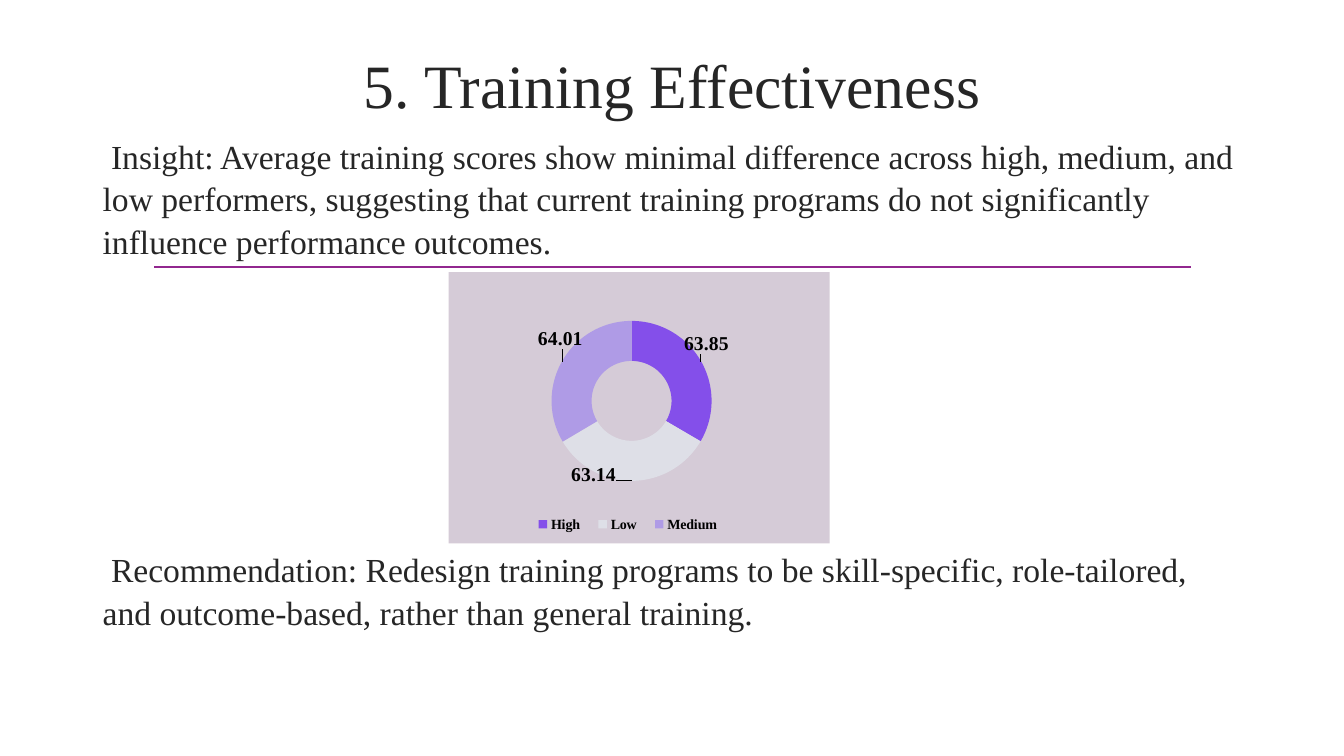
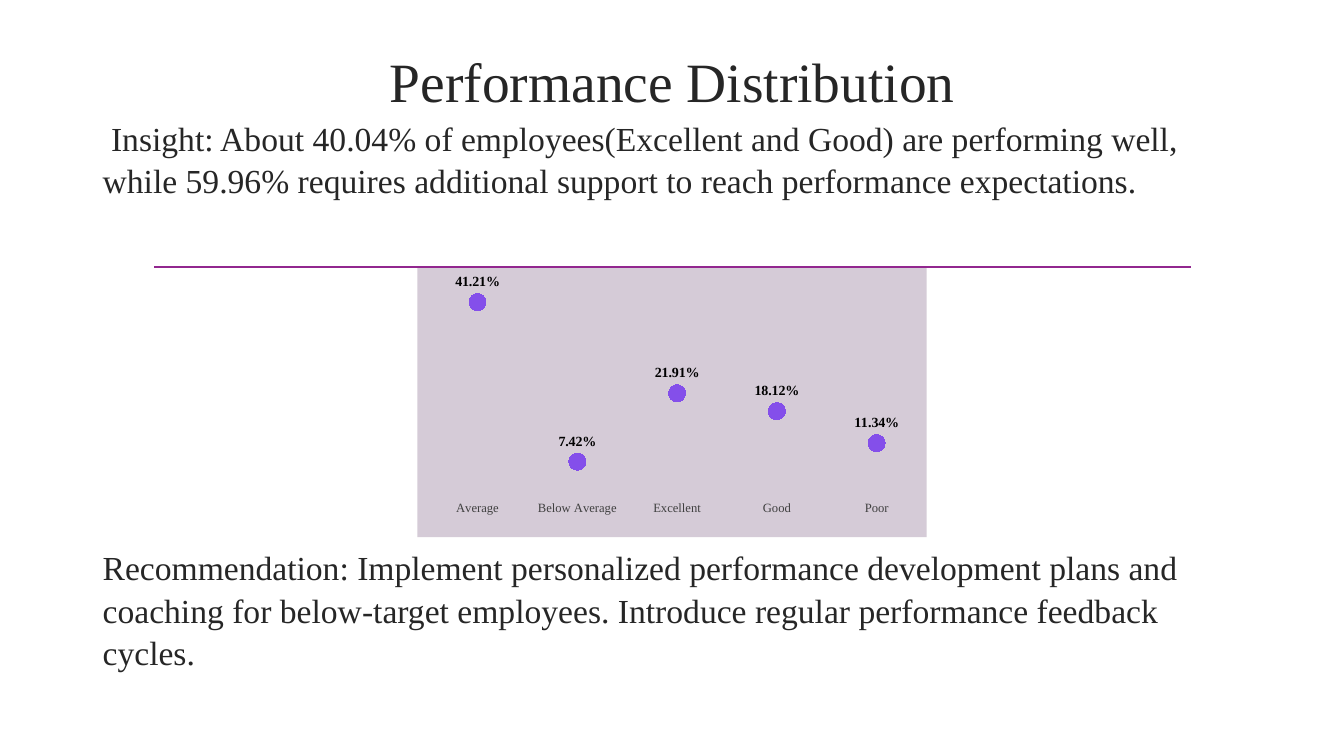
from dataclasses import dataclass

from lxml import etree
from pptx import Presentation
from pptx.chart.data import CategoryChartData
from pptx.dml.color import RGBColor
from pptx.enum.chart import (XL_CHART_TYPE, XL_LABEL_POSITION,
                             XL_LEGEND_POSITION, XL_MARKER_STYLE, XL_TICK_MARK)
from pptx.enum.shapes import MSO_CONNECTOR
from pptx.enum.text import MSO_ANCHOR, PP_ALIGN
from pptx.oxml import parse_xml
from pptx.oxml.ns import qn
from pptx.util import Pt

PX = 9144  # 100 px to the inch
RING, DOTS = XL_CHART_TYPE.DOUGHNUT, XL_CHART_TYPE.LINE_MARKERS
ABOVE, BOTTOM = XL_LABEL_POSITION.ABOVE, XL_LEGEND_POSITION.BOTTOM
CIRCLE, NO_TICK = XL_MARKER_STYLE.CIRCLE, XL_TICK_MARK.NONE
STRAIGHT = MSO_CONNECTOR.STRAIGHT
MIDDLE, TOP = MSO_ANCHOR.MIDDLE, MSO_ANCHOR.TOP
CENTER, LEFT = PP_ALIGN.CENTER, PP_ALIGN.LEFT
NS = ('xmlns:c="http://schemas.openxmlformats.org/drawingml/2006/chart" '
      'xmlns:a="http://schemas.openxmlformats.org/drawingml/2006/main"')


@dataclass(frozen=True)
class Theme:
    face: str = "Times New Roman"
    ink: str = "262626"
    rule: str = "92278F"
    panel: str = "D5CBD7"
    black: str = "000000"
    axis: str = "404040"
    high: str = "844FEA"
    low: str = "DEDFE7"
    mid: str = "AF9BE6"
    body: int = 24
    value: int = 14
    small: int = 10
    tick: int = 9


THEME = Theme()


def rgb(code):
    return RGBColor.from_string(code)


def put(obj, **vals):
    for name, val in vals.items():
        setattr(obj, name, val)


def style(font, size, color, bold=False):
    put(font, name=THEME.face, size=Pt(size), bold=bold)
    font.color.rgb = rgb(color)


def paint(fill, color):
    fill.solid()
    fill.fore_color.rgb = rgb(color)


def scale(box):
    return [n * PX for n in box]


def write(slide, box, text, size, align=LEFT, anchor=TOP, space=1.0):
    frame = slide.shapes.add_textbox(*scale(box)).text_frame
    put(frame, word_wrap=True, vertical_anchor=anchor)
    para = frame.paragraphs[0]
    put(para, text=text, alignment=align, line_spacing=space)
    style(para.runs[0].font, size, THEME.ink)


def draw_rule(slide, x, y, width):
    line = slide.shapes.add_connector(STRAIGHT, *scale((x, y, x + width, y)))
    line.line.width = Pt(1.25)
    line.line.color.rgb = rgb(THEME.rule)
    props = line._element.spPr
    etree.SubElement(props, qn("a:effectLst"))


def layout(target="", **parts):
    """Manual chart layout; parts are fractions of the chart's size."""
    tags = [f'<c:layoutTarget val="{target}"/>'] if target else []
    if target or "w" in parts:
        tags += [f'<c:{n}Mode val="edge"/>' for n in "xy"]
    tags += [f'<c:{n} val="{val}"/>' for n, val in parts.items()]
    return parse_xml(f'<c:layout {NS}><c:manualLayout>{"".join(tags)}'
                     '</c:manualLayout></c:layout>')


def add_chart(slide, box, kind, cats, vals, form, plot):
    data = CategoryChartData(number_format=form)
    data.categories = cats
    data.add_series("Series 1", vals)
    chart = slide.shapes.add_chart(kind, *scale(box), data).chart
    put(chart, has_title=False, has_legend=False)
    style(chart.font, THEME.small, THEME.black)
    root = chart._chartSpace
    root.find(qn("c:chart")).addnext(parse_xml(
        f'<c:spPr {NS}><a:solidFill><a:srgbClr val="{THEME.panel}"/>'
        '</a:solidFill><a:ln><a:noFill/></a:ln></c:spPr>'))
    area = root.find(".//" + qn("c:plotArea"))
    for old in area.findall(qn("c:layout")):
        area.remove(old)
    area.insert(0, layout("inner", **plot))
    return chart


def show_values(series, form, size):
    labels = series.data_labels
    put(labels, show_value=True, number_format=form,
        number_format_is_linked=False)
    style(labels.font, size, THEME.black, True)
    return labels


def ring_chart(slide, box):
    chart = add_chart(slide, box, RING, ("High", "Low", "Medium"),
                      (63.85, 63.14, 64.01), "0.00",
                      dict(x=0.27, y=0.12, w=0.42, h=0.71))
    plot = chart.plots[0]
    plot.vary_by_categories = True
    plot._element.find(qn("c:holeSize")).set("val", "82")
    series = plot.series[0]
    show_values(series, "0.00", THEME.value)
    colors = (THEME.high, THEME.low, THEME.mid)
    shifts = ((0.06, -0.1), (-0.1, 0.05), (-0.05, -0.12))
    for i, (color, (dx, dy)) in enumerate(zip(colors, shifts)):
        point = series.points[i]
        paint(point.format.fill, color)
        point.format.line.fill.background()
        style(point.data_label.font, THEME.value, THEME.black, True)
        label = series._element.findall(".//" + qn("c:dLbl"))[i]
        label.find(qn("c:idx")).addnext(layout(x=dx, y=dy))
    chart.has_legend = True
    legend = chart.legend
    put(legend, position=BOTTOM, include_in_layout=False)
    style(legend.font, THEME.small, THEME.black, True)
    for old in legend._element.findall(qn("c:layout")):
        legend._element.remove(old)
    legend._element.find(qn("c:legendPos")).addnext(
        layout(x=0.2, y=0.89, w=0.54, h=0.08))


def dot_chart(slide, box):
    cats = ("Average", "Below Average", "Excellent", "Good", "Poor")
    chart = add_chart(slide, box, DOTS, cats,
                      (0.4121, 0.0742, 0.2191, 0.1812, 0.1134), "0.00%",
                      dict(x=0.02, y=0.06, w=0.98, h=0.79))
    put(chart.value_axis, visible=False, has_major_gridlines=False,
        minimum_scale=0, maximum_scale=0.45)
    axis = chart.category_axis
    put(axis, major_tick_mark=NO_TICK, minor_tick_mark=NO_TICK)
    axis.format.line.fill.background()
    style(axis.tick_labels.font, THEME.tick, THEME.axis)
    plot = chart.plots[0]
    plot.vary_by_categories = False
    series = plot.series[0]
    series.smooth = False
    series.format.line.fill.background()
    mark = series.marker
    put(mark, style=CIRCLE, size=12)
    paint(mark.format.fill, THEME.high)
    mark.format.line.fill.background()
    show_values(series, "0.00%", THEME.small).position = ABOVE


def add_page(deck, title, size, high, insight, advice, tops, draw, box):
    """Slide with title, insight, rule, chart and advice; tops are text tops."""
    slide = deck.slides.add_slide(deck.slide_layouts[6])
    x, width = 92, 1150
    draw_rule(slide, 153, 265, 1028)
    write(slide, (x, 40, width, high), title, size, CENTER, MIDDLE)
    for text, top in zip((insight, advice), tops):
        write(slide, (x, top, width, 130), text, THEME.body, space=1.05)
    draw(slide, box)


def main():
    deck = Presentation()
    put(deck, slide_width=1333 * PX, slide_height=750 * PX)
    add_page(
        deck, "5. Training Effectiveness", 44, 86,
        " Insight: Average training scores show minimal difference across "
        "high, medium, and low performers, suggesting that current training "
        "programs do not significantly influence performance outcomes.",
        " Recommendation: Redesign training programs to be skill-specific, "
        "role-tailored, and outcome-based, rather than general training.",
        (128, 538), ring_chart, (445, 270, 378, 269))
    add_page(
        deck, "Performance Distribution", 39.6, 80,
        " Insight: About 40.04% of employees(Excellent and Good) are "
        "performing well, while 59.96% requires additional support to reach "
        "performance expectations.",
        "Recommendation: Implement personalized performance development plans "
        "and coaching for below-target employees. Introduce regular "
        "performance feedback cycles.",
        (110, 536), dot_chart, (414, 266, 505, 267))
    deck.save("out.pptx")


if __name__ == "__main__":
    main()
